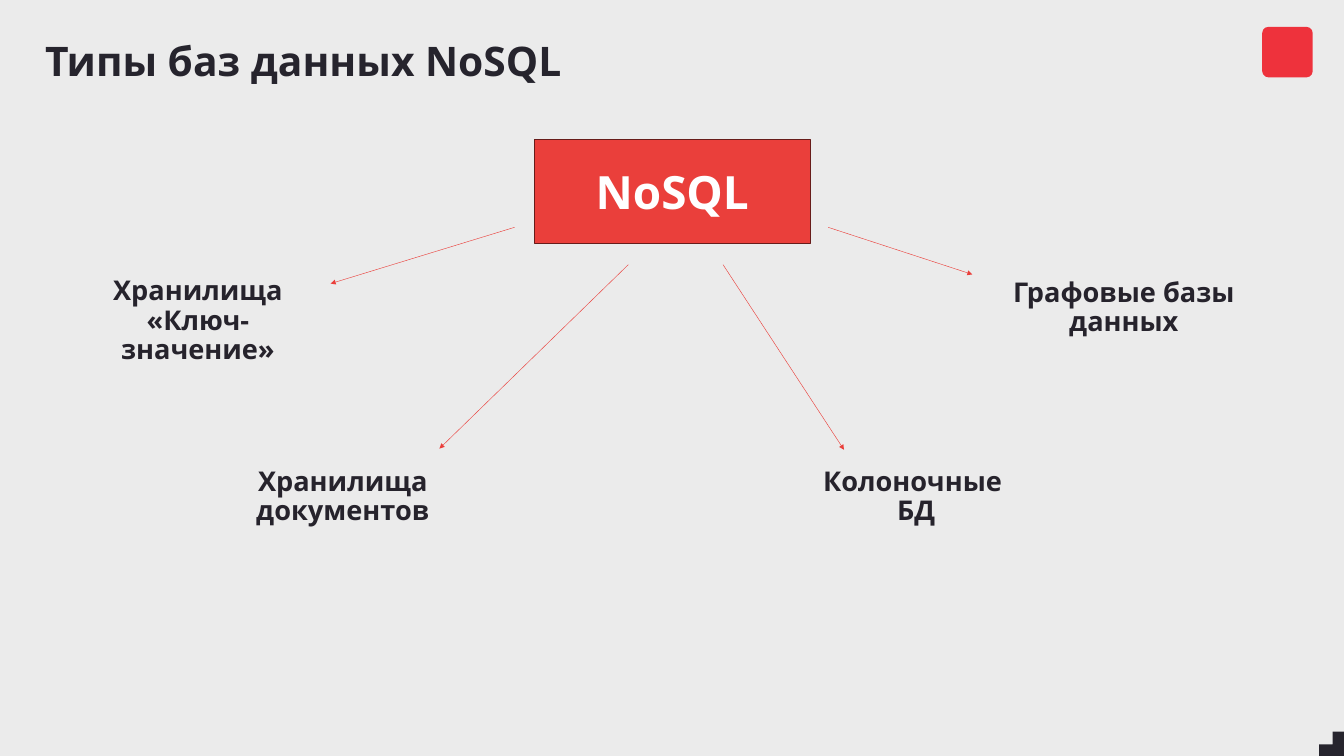
"""Build the slide on the types of NoSQL databases."""
from lxml import etree
from pptx import Presentation
from pptx.dml.color import RGBColor
from pptx.enum import shapes, text
from pptx.oxml.ns import qn
from pptx.util import Pt

RED, DARK = "EA3F3B", "26232C"


def paint(target, color):
    target.solid()
    target.fore_color.rgb = RGBColor.from_string(color)


def write(shape, words, anchor, align, spacing, size, color):
    frame = shape.text_frame
    frame.text = words
    frame.word_wrap = True
    frame.vertical_anchor = anchor
    para = frame.paragraphs[0]
    para.alignment = align
    para.line_spacing = spacing
    for span in para.runs:
        look = {"name": "Open Sans", "size": Pt(size), "bold": True}
        for key, value in look.items():
            setattr(span.font, key, value)
        paint(span.font.fill, color)


deck = Presentation()
deck.slide_width, deck.slide_height = Pt(1583.28), Pt(890.64)
page = deck.slides.add_slide(deck.slide_layouts[5])
paint(page.background.fill, "EBEBEB")

title = page.shapes.title
place = {"left": 46, "top": 36, "width": 1366, "height": 70.5}
for side, value in place.items():
    setattr(title, side, Pt(value))
write(title, "Типы баз данных NoSQL", text.MSO_ANCHOR.MIDDLE,
      text.PP_ALIGN.LEFT, 1.0, 48, "26242D")

badge = page.shapes.add_shape(shapes.MSO_SHAPE.ROUNDED_RECTANGLE,
                              Pt(1487), Pt(31.7), Pt(59.4), Pt(59.4))
badge.adjustments[0] = 0.12
paint(badge.fill, "EE323C")

outline = page.shapes.build_freeform(1583.28, 890.64, scale=Pt(1))
outline.add_line_segments([(1554.5, 890.64), (1554.5, 877), (1569.5, 877),
                           (1569.5, 862), (1583.28, 862)])
corner = outline.convert_to_shape()
paint(corner.fill, "26242D")

for shape in (badge, corner):
    shape.line.fill.background()
    shape.shadow.inherit = False

root = page.shapes.add_shape(shapes.MSO_SHAPE.FLOWCHART_PROCESS,
                             Pt(629.3), Pt(164.2), Pt(325.4), Pt(122.4))
root.shadow.inherit = False
paint(root.fill, RED)
paint(root.line.fill, "671C1A")
root.line.width = Pt(1)
write(root, "NoSQL", text.MSO_ANCHOR.MIDDLE, text.PP_ALIGN.CENTER,
      1.0, 54, "FFFFFF")

branches = [
    ("Хранилища «Ключ-значение»", 77, 323.3, (606.2, 267.8, 389.5, 334.1)),
    ("Хранилища документов", 247.7, 547.9, (740.2, 311.8, 517.7, 528.5)),
    ("Колоночные \vБД", 923, 547.9, (851.8, 311.8, 994.3, 529.9)),
    ("Графовые базы данных", 1167.8, 324.7, (975.6, 267.8, 1145.5, 323.3)),
]
for words, left, top, ends in branches:
    label = page.shapes.add_textbox(Pt(left), Pt(top), Pt(312.5), Pt(85))
    write(label, words, text.MSO_ANCHOR.TOP, text.PP_ALIGN.CENTER,
          0.9, 32, DARK)
    arrow = page.shapes.add_connector(shapes.MSO_CONNECTOR.STRAIGHT,
                                      *[Pt(end) for end in ends])
    paint(arrow.line.fill, RED)
    arrow.line.width = Pt(0.5)
    stroke = arrow.line._get_or_add_ln()
    etree.SubElement(stroke, qn("a:tailEnd"), type="triangle")
    etree.SubElement(stroke.getparent(), qn("a:effectLst"))

deck.save("out.pptx")
